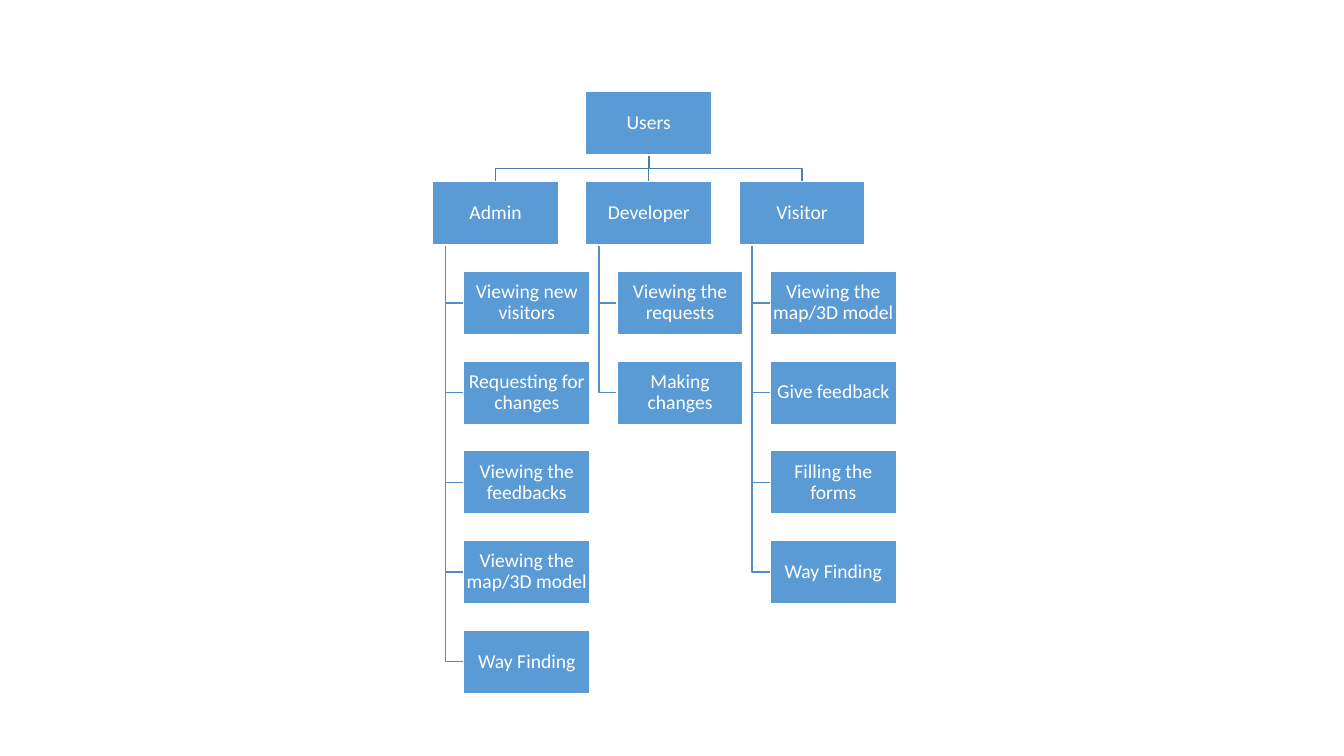
from dataclasses import dataclass

from lxml.etree import SubElement
from pptx import Presentation
from pptx.dml.color import RGBColor
from pptx.enum.shapes import MSO_CONNECTOR, MSO_SHAPE
from pptx.enum.text import MSO_ANCHOR, PP_ALIGN
from pptx.oxml.ns import qn
from pptx.shapes.shapetree import SlideShapes
from pptx.util import Inches, Pt

BOX_FILL = RGBColor(0x5B, 0x9B, 0xD5)
WHITE = RGBColor(0xFF, 0xFF, 0xFF)
ROOT_LINE = RGBColor(0x49, 0x7C, 0xAB)
TASK_LINE = RGBColor(0x53, 0x8D, 0xC1)

BOX_W, BOX_H = 1.25, 0.63
LEFT, TOP = 4.29, 0.91
COL_STEP, ROW_STEP = 1.52, 0.89
TASK_INDENT, TRUNK_INDENT = 0.31, 0.13
ROOT_COL = 1


@dataclass
class Role:
    name: str
    tasks: list[str]


ROLES = [
    Role("Admin", ["Viewing new visitors", "Requesting for changes",
                   "Viewing the feedbacks", "Viewing the map/3D model",
                   "Way Finding"]),
    Role("Developer", ["Viewing the requests", "Making changes"]),
    Role("Visitor", ["Viewing the map/3D model", "Give feedback",
                     "Filling the forms", "Way Finding"]),
]


def col_x(col: int) -> float:
    return LEFT + col * COL_STEP


def row_y(row: int) -> float:
    return TOP + row * ROW_STEP


def add_link(shapes: SlideShapes, points: list[tuple[float, float]],
             color: RGBColor) -> None:
    start, *rest = [(Inches(x), Inches(y)) for x, y in points]
    if len(rest) == 1:
        sp = shapes.add_connector(MSO_CONNECTOR.STRAIGHT, *start, *rest[0])
        SubElement(sp._element.spPr, qn("a:effectLst"))
    else:
        builder = shapes.build_freeform(*start)
        builder.add_line_segments(rest, close=False)
        sp = builder.convert_to_shape()
        sp.fill.background()
        sp.shadow.inherit = False
    sp.line.color.rgb = color
    sp.line.width = Pt(1)


def add_box(shapes: SlideShapes, x: float, y: float, text: str) -> None:
    sp = shapes.add_shape(MSO_SHAPE.RECTANGLE, Inches(x), Inches(y),
                          Inches(BOX_W), Inches(BOX_H))
    sp.shadow.inherit = False
    sp.fill.solid()
    sp.fill.fore_color.rgb = BOX_FILL
    sp.line.color.rgb = WHITE
    sp.line.width = Pt(1)
    tf = sp.text_frame
    tf.word_wrap = True
    tf.vertical_anchor = MSO_ANCHOR.MIDDLE
    tf.margin_left = tf.margin_right = Inches(0.01)
    tf.margin_top = tf.margin_bottom = Inches(0.01)
    p = tf.paragraphs[0]
    p.alignment = PP_ALIGN.CENTER
    p.line_spacing = 0.9
    r = p.add_run()
    r.text = text
    r.font.name = "Calibri"
    r.font.size = Pt(14)
    r.font.color.rgb = WHITE


def add_role_links(shapes: SlideShapes, col: int, role: Role) -> None:
    root_x = col_x(ROOT_COL) + BOX_W / 2
    role_x = col_x(col) + BOX_W / 2
    root_bottom, role_top = row_y(0) + BOX_H, row_y(1)
    mid_y = (root_bottom + role_top) / 2
    bend = [] if col == ROOT_COL else [(root_x, mid_y), (role_x, mid_y)]
    add_link(shapes, [(root_x, root_bottom), *bend, (role_x, role_top)],
             ROOT_LINE)

    trunk_x = col_x(col) + TRUNK_INDENT
    for row in range(2, 2 + len(role.tasks)):
        y = row_y(row) + BOX_H / 2
        add_link(shapes, [(trunk_x, row_y(1) + BOX_H), (trunk_x, y),
                          (col_x(col) + TASK_INDENT, y)], TASK_LINE)


def main() -> None:
    prs = Presentation()
    prs.slide_width, prs.slide_height = Inches(13.33), Inches(7.5)
    shapes = prs.slides.add_slide(prs.slide_layouts[6]).shapes

    for col, role in enumerate(ROLES):
        add_role_links(shapes, col, role)

    add_box(shapes, col_x(ROOT_COL), row_y(0), "Users")
    for col, role in enumerate(ROLES):
        add_box(shapes, col_x(col), row_y(1), role.name)
        for row, task in enumerate(role.tasks, start=2):
            add_box(shapes, col_x(col) + TASK_INDENT, row_y(row), task)

    prs.save("out.pptx")


if __name__ == "__main__":
    main()
